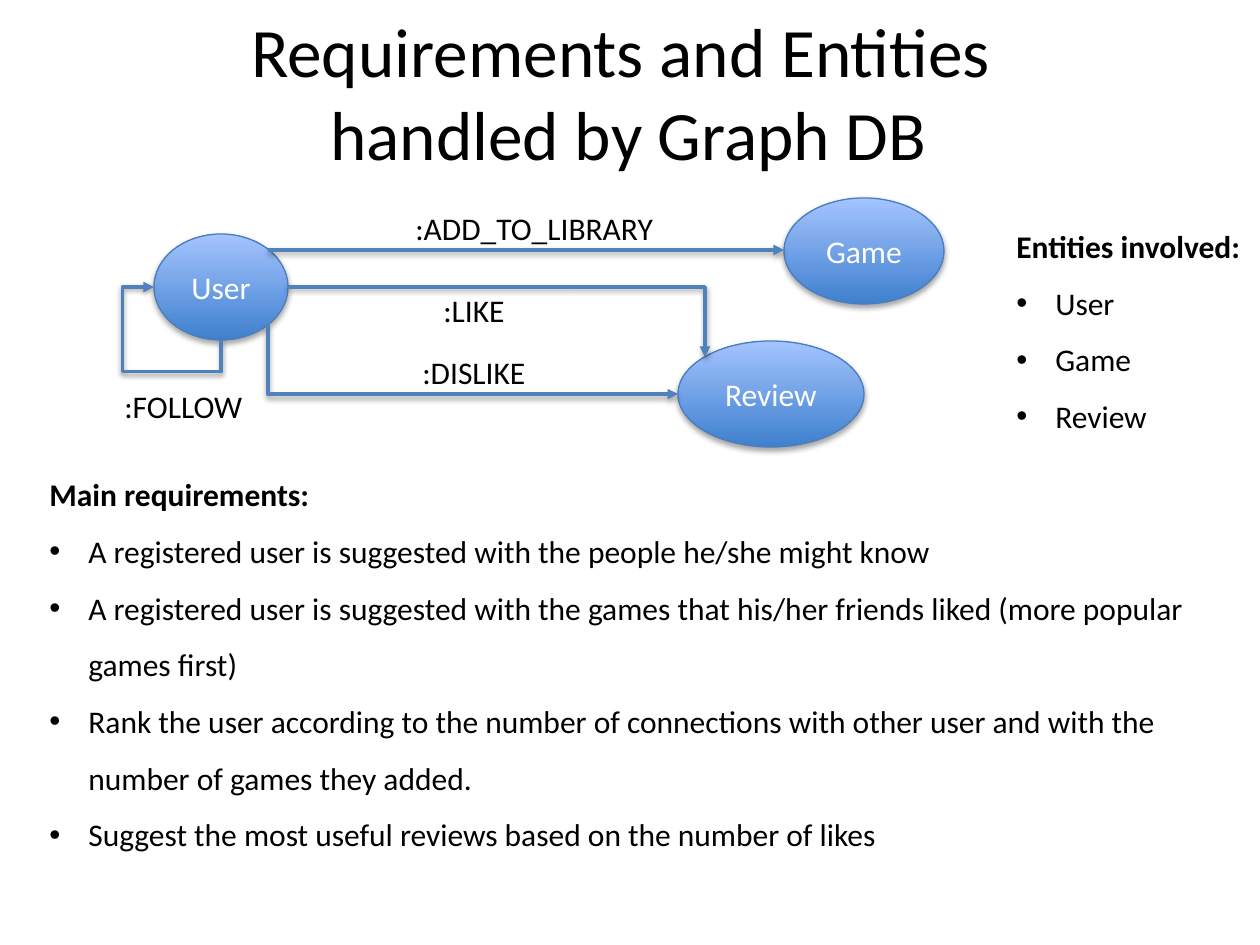
from lxml import etree
from pptx import Presentation
from pptx.dml.color import RGBColor
from pptx.enum.shapes import MSO_CONNECTOR, MSO_SHAPE
from pptx.enum.text import MSO_ANCHOR, MSO_AUTO_SIZE, PP_ALIGN
from pptx.oxml.ns import qn
from pptx.util import Emu, Pt

SCALE = 914400 / 126
COLORS = {"text": "000000", "node_text": "FFFFFF", "node_bottom": "3F80CE",
          "node_top": "A4C4FF", "node_line": "4B7EBC", "edge": "4F81BD", "shadow": "000000"}

TITLE = "Requirements and Entities \vhandled by Graph DB"
NODES = [("User", (154, 234, 134, 106)), ("Game", (784, 198, 160, 106)),
         ("Review", (678, 341, 186, 106))]
EDGES = [
    {"start": (221, 340), "end": (154, 287), "preset": "bentConnector4", "turn": 90,
     "flip": True, "bends": (-59500, 147200)},
    {"start": (268, 250), "end": (784, 250)},
    {"start": (268, 325), "end": (678, 394), "preset": "bentConnector2", "turn": 270,
     "flip": True},
    {"start": (288, 287), "end": (705, 357), "preset": "bentConnector2"},
]
EDGE_LABELS = [(":ADD_TO_LIBRARY", (403, 203, 266, 50)), (":FOLLOW", (112, 381, 152, 50)),
               (":LIKE", (431, 285, 266, 50)), (":DISLIKE", (410, 347, 266, 50))]
LISTS = [
    {"heading": "Main requirements:", "heading_spacing": None, "box": (37, 469, 1187, 388),
     "items": ["A registered user is suggested with the people he/she might know",
               "A registered user is suggested with the games that his/her friends liked "
               "(more popular games first)",
               "Rank the user according to the number of connections with other user and "
               "with the number of games they added.",
               "Suggest the most useful reviews based on the number of likes"]},
    {"heading": "Entities involved:", "heading_spacing": 2, "box": (1004, 183, 318, 255),
     "items": ["User", "Game", "Review"]},
]


def px(value):
    return Emu(round(value * SCALE))


def rgb(name):
    return RGBColor.from_string(COLORS[name])


def write(paragraph, text, size=18, color="text", bold=False, align=None, spacing=None,
          bullet=False):
    paragraph.text = text
    paragraph.font.size = Pt(size)
    paragraph.font.name = "Calibri"
    paragraph.font.bold = bold
    paragraph.font.color.rgb = rgb(color)
    paragraph.alignment = align
    paragraph.line_spacing = spacing
    if bullet:
        props = paragraph._p.get_or_add_pPr()
        props.set("marL", str(px(39)))
        props.set("indent", str(-px(39)))
        mark = etree.Element(qn("a:buChar"), char="•")
        props.find(qn("a:defRPr")).addprevious(mark)
        font = etree.Element(qn("a:buFont"), typeface="Arial")
        mark.addprevious(font)


def add_shadow(properties, distance, opacity):
    effects = properties.find(qn("a:effectLst"))
    if effects is None:
        effects = etree.SubElement(properties, qn("a:effectLst"))
    shadow = etree.SubElement(effects, qn("a:outerShdw"), blurRad="40000", dist=str(distance),
                              dir="5400000", rotWithShape="0")
    color = etree.SubElement(shadow, qn("a:srgbClr"), val=COLORS["shadow"])
    etree.SubElement(color, qn("a:alpha"), val=str(opacity * 1000))


def add_node(slide, name, box):
    node = slide.shapes.add_shape(MSO_SHAPE.OVAL, *map(px, box))
    node.fill.gradient()
    node.fill.gradient_angle = 90
    for stop, position, color in zip(node.fill.gradient_stops, (0, 1),
                                     ("node_bottom", "node_top")):
        stop.position = position
        stop.color.rgb = rgb(color)
    node.line.color.rgb = rgb("node_line")
    node.line.width = Pt(0.75)
    node.shadow.inherit = False
    add_shadow(node._element.spPr, 23000, 35)
    node.text_frame.vertical_anchor = MSO_ANCHOR.MIDDLE
    write(node.text_frame.paragraphs[0], name, color="node_text", align=PP_ALIGN.CENTER)


def add_edge(slide, start, end, preset="line", turn=0, flip=False, bends=()):
    width, height = abs(end[0] - start[0]), abs(end[1] - start[1])
    if turn % 180:
        width, height = height, width
    left = (start[0] + end[0] - width) / 2
    top = (start[1] + end[1] - height) / 2
    kind = MSO_CONNECTOR.STRAIGHT if preset == "line" else MSO_CONNECTOR.ELBOW
    edge = slide.shapes.add_connector(kind, px(left), px(top), px(left + width),
                                      px(top + height))
    properties = edge._element.spPr
    frame = properties.find(qn("a:xfrm"))
    if turn:
        frame.set("rot", str(turn * 60000))
    if flip:
        frame.set("flipH", "1")
    geometry = properties.find(qn("a:prstGeom"))
    geometry.set("prst", preset)
    for number, bend in enumerate(bends, 1):
        etree.SubElement(geometry.find(qn("a:avLst")), qn("a:gd"), name=f"adj{number}",
                         fmla=f"val {bend}")
    edge.line.color.rgb = rgb("edge")
    edge.line.width = Pt(2)
    etree.SubElement(edge.line._get_or_add_ln(), qn("a:tailEnd"), type="triangle")
    add_shadow(properties, 20000, 38)


def add_text_frame(slide, box):
    frame = slide.shapes.add_textbox(*map(px, box)).text_frame
    frame.word_wrap = True
    return frame


def main():
    deck = Presentation()
    deck.slide_width, deck.slide_height = px(1260), px(945)
    slide = deck.slides.add_slide(deck.slide_layouts[5])

    title = slide.shapes.title
    title.left, title.top, title.width, title.height = map(px, (25, 13, 1207, 157))
    title.text_frame.auto_size = MSO_AUTO_SIZE.NONE
    title.text_frame.vertical_anchor = MSO_ANCHOR.MIDDLE
    write(title.text_frame.paragraphs[0], TITLE, size=39.6, align=PP_ALIGN.CENTER)

    for name, box in NODES:
        add_node(slide, name, box)
    for edge in EDGES:
        add_edge(slide, **edge)
    for label, box in EDGE_LABELS:
        write(add_text_frame(slide, box).paragraphs[0], label)
    for group in LISTS:
        frame = add_text_frame(slide, group["box"])
        write(frame.paragraphs[0], group["heading"], bold=True,
              spacing=group["heading_spacing"])
        for item in group["items"]:
            write(frame.add_paragraph(), item, spacing=1.5, bullet=True)

    deck.save("out.pptx")


if __name__ == "__main__":
    main()
